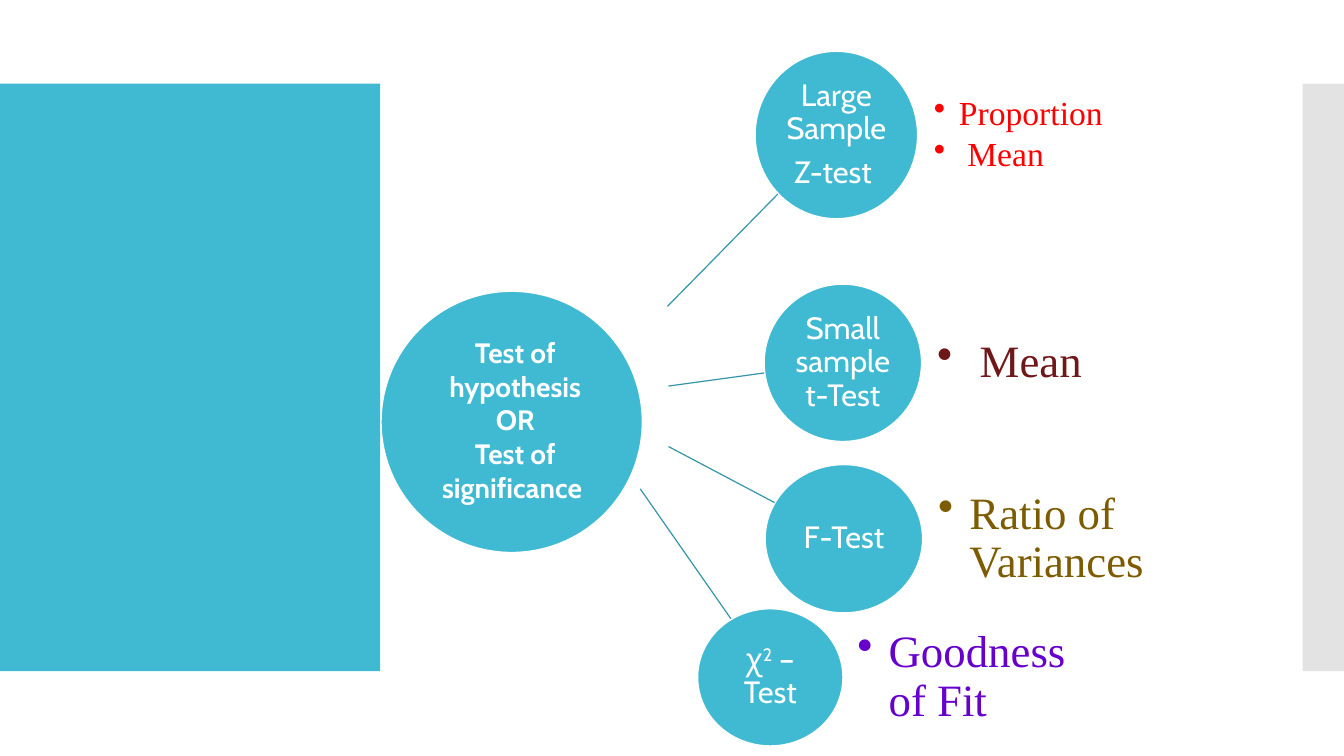
from dataclasses import dataclass

import pptx
import pptx.dml.color
import pptx.enum.shapes
import pptx.enum.text
import pptx.oxml
import pptx.oxml.ns
import pptx.util
from pptx.util import Inches

ALIGN = pptx.enum.text.PP_ALIGN
ANCHOR = pptx.enum.text.MSO_ANCHOR
SHAPE = pptx.enum.shapes.MSO_SHAPE


@dataclass(frozen=True)
class Theme:
    teal: str = "40BAD2"
    spoke: str = "3395A8"
    white: str = "FFFFFF"
    grey: str = "C8C8C8"
    head_font: str = "Cabin"
    note_font: str = "Times New Roman"
    hub_size: int = 20
    test_size: int = 22
    line_width: float = 0.85
    note_gap: float = 0.15


@dataclass(frozen=True)
class Branch:
    box: tuple[float, float, float, float]
    label: list[str]
    notes: list[str]
    note_width: float
    note_color: str
    note_size: int
    indent: float
    spoke: tuple[float, float, float, float]


THEME = Theme()
BRANCHES = [
    Branch((7.49, 0.51, 1.61, 1.66), ["Large Sample", "Z-test "],
           ["Proportion", " Mean"], 2.42, "FF0000", 24, 0.25,
           (6.62, 3.04, 7.72, 1.92)),
    Branch((7.58, 2.82, 1.56, 1.56), ["Small sample t-Test"],
           [" Mean"], 2.33, "6F181A", 32, 0.31, (6.63, 3.83, 7.58, 3.7)),
    Branch((7.59, 4.61, 1.56, 1.47), ["F-Test"],
           ["Ratio of Variances"], 2.33, "7D5C00", 32, 0.31,
           (6.63, 4.43, 7.69, 4.99)),
    Branch((6.92, 6.04, 1.44, 1.36), ["χ^2^ – Test"],
           ["Goodness of Fit"], 2.17, "6600CC", 32, 0.31,
           (6.35, 4.85, 7.25, 6.14)),
]


def rgb(color: str) -> pptx.dml.color.RGBColor:
    return pptx.dml.color.RGBColor.from_string(color)


def add_xml(parent, tag: str, **attrs: str):
    child = pptx.oxml.parse_xml(f"<a:{tag} {pptx.oxml.ns.nsdecls('a')}/>")
    for name, value in attrs.items():
        child.set(name, value)
    parent.append(child)
    return child


def write_text(sp, lines: list[str], *, font: str, size: int, color: str,
               bold: bool = False, align=ALIGN.CENTER, anchor=ANCHOR.MIDDLE,
               insets: tuple[float, float] = (0.02, 0.02),
               spacing: float = 0.9, after: float = 0,
               indent: float = 0) -> None:
    tf = sp.text_frame
    tf.word_wrap = True
    tf.vertical_anchor = anchor
    tf.margin_left = tf.margin_right = Inches(insets[0])
    tf.margin_top = tf.margin_bottom = Inches(insets[1])
    for i, line in enumerate(lines):
        p = tf.paragraphs[0] if i == 0 else tf.add_paragraph()
        p.alignment = align
        p.line_spacing = spacing
        p.space_before = pptx.util.Pt(0)
        p.space_after = pptx.util.Pt(after)
        if indent:
            pPr = p._p.get_or_add_pPr()
            pPr.set("marL", str(Inches(indent)))
            pPr.set("indent", str(-Inches(indent)))
            add_xml(pPr, "buChar", char="•")
        for part, text in enumerate(line.split("^")):
            r = p.add_run()
            r.text = text
            r.font.name = font
            r.font.size = pptx.util.Pt(size)
            r.font.bold = bold
            r.font.color.rgb = rgb(color)
            if part % 2:
                r.font._element.set("baseline", "30000")


def add_block(s, kind, box: tuple[float, float, float, float], fill: str,
              *, line: str = "", alpha: int = 100):
    sp = s.shapes.add_shape(kind, *map(Inches, box))
    sp.shadow.inherit = False
    sp.fill.solid()
    sp.fill.fore_color.rgb = rgb(fill)
    if alpha < 100:
        clr = sp.fill._xPr.find(".//" + pptx.oxml.ns.qn("a:srgbClr"))
        add_xml(clr, "alpha", val=str(alpha * 1000))
    if line:
        sp.line.color.rgb = rgb(line)
        sp.line.width = pptx.util.Pt(THEME.line_width)
    else:
        sp.line.fill.background()
    return sp


def add_spoke(s, ends: tuple[float, float, float, float]) -> None:
    kind = pptx.enum.shapes.MSO_CONNECTOR.STRAIGHT
    cx = s.shapes.add_connector(kind, *map(Inches, ends))
    cx.line.color.rgb = rgb(THEME.spoke)
    cx.line.width = pptx.util.Pt(THEME.line_width)
    add_xml(cx._element.spPr, "effectLst")


def add_branch(s, branch: Branch) -> None:
    left, top, width, height = branch.box
    sp = add_block(s, SHAPE.OVAL, branch.box, THEME.teal, line=THEME.white)
    write_text(sp, branch.label, font=THEME.head_font, size=THEME.test_size,
               color=THEME.white, after=0.35 * THEME.test_size)
    note_left = left + width * 1.1
    tb = s.shapes.add_textbox(Inches(note_left), Inches(top),
                              Inches(branch.note_width), Inches(height))
    write_text(tb, branch.notes, font=THEME.note_font, size=branch.note_size,
               color=branch.note_color, align=ALIGN.LEFT, insets=(0, 0),
               after=THEME.note_gap * branch.note_size, indent=branch.indent)


def main() -> None:
    prs = pptx.Presentation()
    prs.slide_width = Inches(13.33)
    prs.slide_height = Inches(7.5)
    s = prs.slides.add_slide(prs.slide_layouts[6])
    add_block(s, SHAPE.RECTANGLE, (0, 0.83, 3.77, 5.83), THEME.teal)
    add_block(s, SHAPE.RECTANGLE, (12.92, 0.83, 0.41, 5.83), THEME.grey, alpha=50)
    for branch in reversed(BRANCHES):
        add_spoke(s, branch.spoke)
    add_block(s, SHAPE.OVAL, (3.78, 2.89, 2.59, 2.59), THEME.teal, line=THEME.white)
    for branch in BRANCHES:
        add_branch(s, branch)
    hub = add_block(s, SHAPE.RECTANGLE, (4.24, 3.28, 1.74, 1.78), THEME.teal)
    write_text(hub, ["Test of hypothesis", "OR", "Test of significance "],
               font=THEME.head_font, size=THEME.hub_size, color=THEME.white,
               bold=True, anchor=ANCHOR.TOP, insets=(0.1, 0.05), spacing=1.0)
    prs.save("out.pptx")


if __name__ == "__main__":
    main()
